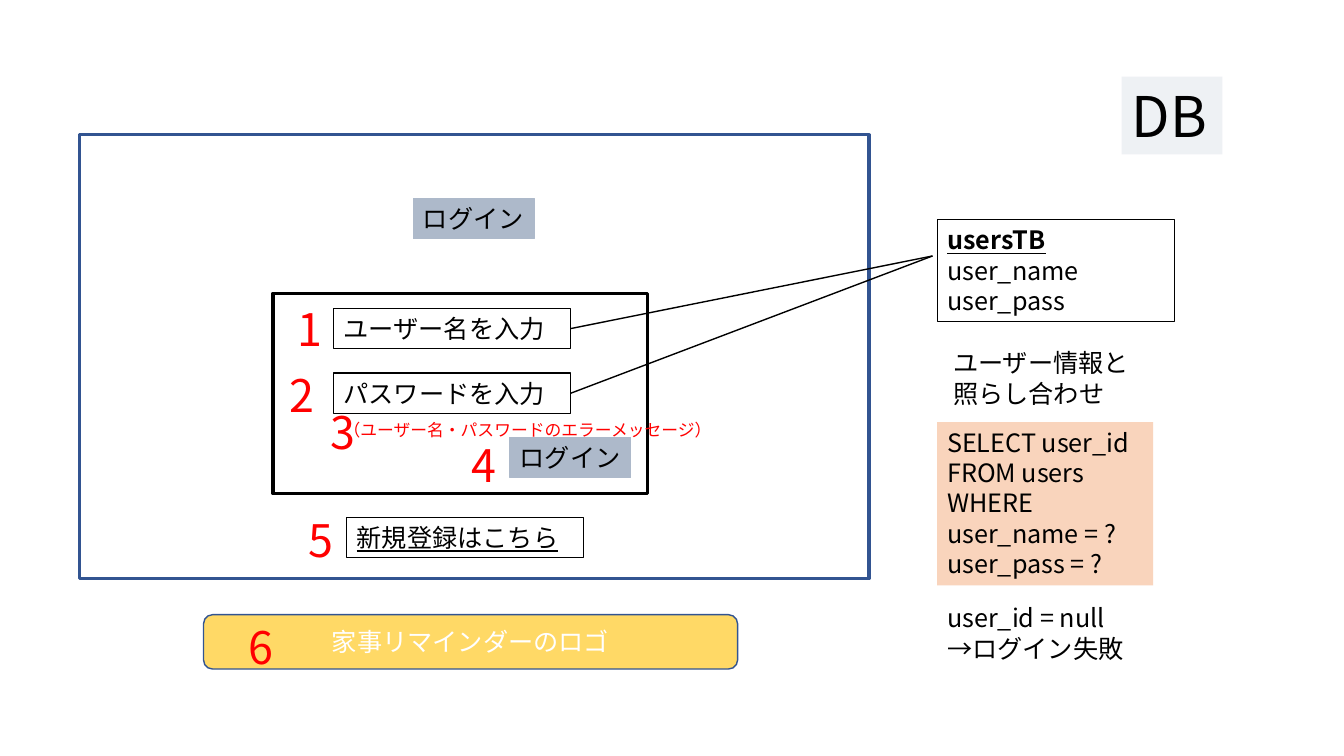
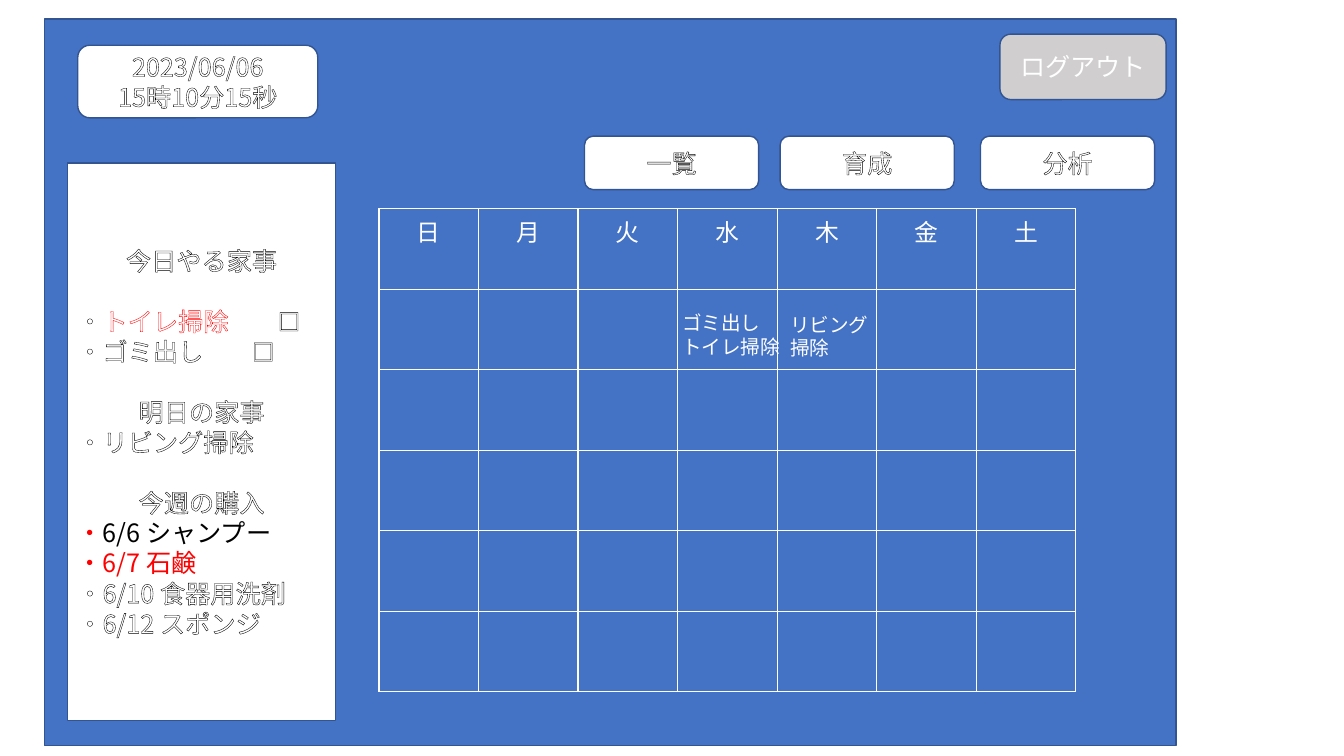
from lxml.etree import SubElement
from pptx import Presentation
from pptx.dml.color import RGBColor
from pptx.enum.shapes import MSO_CONNECTOR, MSO_SHAPE
from pptx.enum.text import MSO_ANCHOR, MSO_AUTO_SIZE, PP_ALIGN
from pptx.oxml.ns import qn
from pptx.util import Cm, Pt

FONT = "Noto Sans CJK JP"
BLACK = RGBColor(0x00, 0x00, 0x00)
WHITE = RGBColor(0xFF, 0xFF, 0xFF)
RED = RGBColor(0xFF, 0x00, 0x00)
ORANGE = RGBColor(0xED, 0x7D, 0x31)
BLUE = RGBColor(0x44, 0x72, 0xC4)
NAVY = RGBColor(0x32, 0x54, 0x91)
STEEL = RGBColor(0xAD, 0xB9, 0xCA)
PALE = RGBColor(0xD6, 0xDC, 0xE5)
PEACH = RGBColor(0xF8, 0xCB, 0xAD)
YELLOW = RGBColor(0xFF, 0xD9, 0x66)
GREY = RGBColor(0xD0, 0xCE, 0xCE)
RECT, ROUND = MSO_SHAPE.RECTANGLE, MSO_SHAPE.ROUNDED_RECTANGLE


def write(p, text, size=18, color=BLACK, bold=False, underline=False, outline=None):
    """Add one formatted run to a paragraph."""
    r = p.add_run()
    r.text = text
    f = r.font
    f.size, f.bold, f.underline, f.name = Pt(size), bold, underline, FONT
    f.color.rgb = color
    rPr = r._r.get_or_add_rPr()
    SubElement(rPr, qn("a:ea"), typeface=FONT)
    if outline is not None:
        ln = SubElement(rPr, qn("a:ln"), w=str(Pt(0.75)))
        SubElement(SubElement(ln, qn("a:solidFill")), qn("a:srgbClr"), val=str(outline))
        rPr.insert(0, ln)


def box(slide, at, lines=(), kind=RECT, fill=None, alpha=None, line=None, width=0.75,
        center=False, wrap=True, **fmt):
    """Add a shape, or a text box if kind is None, with one paragraph per line."""
    at = [Cm(v) for v in at]
    if kind is None:
        s = slide.shapes.add_textbox(*at)
    else:
        s = slide.shapes.add_shape(kind, *at)
        s.shadow.inherit = False
        if fill is None:
            s.fill.background()
        else:
            s.fill.solid()
            s.fill.fore_color.rgb = fill
        if alpha:
            clr = s._element.spPr.find(qn("a:solidFill"))[0]
            SubElement(clr, qn("a:alpha"), val=str(alpha * 1000))
        if line is None:
            s.line.fill.background()
        else:
            s.line.color.rgb = line
            s.line.width = Pt(width)
    tf = s.text_frame
    tf.word_wrap = wrap
    tf.vertical_anchor = MSO_ANCHOR.MIDDLE if center else MSO_ANCHOR.TOP
    if lines and not center:
        tf.auto_size = MSO_AUTO_SIZE.SHAPE_TO_FIT_TEXT
    for i, text in enumerate(lines):
        p = tf.add_paragraph() if i else tf.paragraphs[0]
        p.alignment = PP_ALIGN.CENTER if center else PP_ALIGN.LEFT
        write(p, text, **fmt)
    return s


prs = Presentation()
prs.slide_width, prs.slide_height = Cm(33.87), Cm(19.05)
blank = prs.slide_layouts[6]

# Slide 1: login screen
login = prs.slides.add_slide(blank)
box(login, (2.01, 3.4, 19.89, 11.18), line=NAVY, width=2.25)
box(login, (10.41, 5, 3.05, 1.02), ["ログイン"], fill=STEEL, line=STEEL)
box(login, (6.88, 7.39, 9.45, 5.05), line=BLACK, width=2.25)
fields = [box(login, (8.41, y, 5.97, 1.02), [text], line=BLACK)
          for y, text in [(7.77, "ユーザー名を入力"), (9.4, "パスワードを入力")]]
box(login, (12.85, 11.02, 3.05, 1.02), ["ログイン"], fill=STEEL, line=STEEL)
box(login, (8.74, 13.03, 5.97, 1.02), ["新規登録はこちら"], line=BLACK, underline=True)
box(login, (5.13, 15.49, 13.46, 1.37), ["家事リマインダーのロゴ"], kind=ROUND,
    fill=YELLOW, line=NAVY, width=1, center=True, color=WHITE)
box(login, (8.41, 10.46, 9.91, 0.76), ["（ユーザー名・パスワードのエラーメッセージ）"],
    kind=None, size=12, color=RED)

# Callout numbers
spots = [(7.26, 7.47), (7.04, 9.14), (8.08, 10.08), (11.63, 10.9), (7.52, 12.8), (6.02, 15.49)]
for n, (x, y) in enumerate(spots, 1):
    box(login, (x, y, 1.12, 1.63), [str(n)], kind=None, size=32, color=RED)

# Lines from the fields to the user table
for field in fields:
    c = login.shapes.add_connector(MSO_CONNECTOR.STRAIGHT, 0, 0, Cm(23.5), Cm(6.45))
    c.begin_connect(field, 3)
    c.line.color.rgb = BLACK
    c.line.width = Pt(1)
    SubElement(c._element.spPr, qn("a:effectLst"))

# Database column
box(login, (28.27, 1.93, 2.54, 1.96), ["DB"], fill=PALE, alpha=40, wrap=False, size=40)
users = box(login, (23.62, 5.54, 5.97, 2.57), ["usersTB", "user_name", "user_pass"], line=BLACK)
heading = users.text_frame.paragraphs[0].runs[0].font
heading.bold = heading.underline = True
box(login, (23.77, 8.64, 5.44, 1.8), ["ユーザー情報と照らし合わせ"], kind=None)
box(login, (23.62, 10.64, 5.44, 4.11),
    ["SELECT user_id", "FROM users", "WHERE user_name = ?", "user_pass = ?"],
    fill=PEACH, alpha=81)
box(login, (23.62, 15.06, 5.44, 1.8), ["user_id = null", "→ログイン失敗"], kind=None)

# Slide 2: calendar screen
home = prs.slides.add_slide(blank)
box(home, (1.12, 0.48, 28.52, 18.31), fill=BLUE, line=NAVY, width=1)

# Calendar
days = "日月火水木金土"
ROWS, COL_W, ROW_H = 6, 2.51, 2.03
table = home.shapes.add_table(ROWS, len(days), Cm(9.55), Cm(5.26),
                              Cm(COL_W * len(days)), Cm(ROW_H * ROWS)).table
table.first_row = table.horz_banding = False
for col in table.columns:
    col.width = Cm(COL_W)
for row in table.rows:
    row.height = Cm(ROW_H)
for cell in table.iter_cells():
    tcPr = cell._tc.get_or_add_tcPr()
    for side in ("a:lnL", "a:lnR", "a:lnT", "a:lnB"):
        ln = SubElement(tcPr, qn(side), w=str(Pt(1)))
        SubElement(SubElement(ln, qn("a:solidFill")), qn("a:srgbClr"), val=str(WHITE))
    cell.fill.background()
for i, day in enumerate(days):
    p = table.cell(0, i).text_frame.paragraphs[0]
    p.alignment = PP_ALIGN.CENTER
    write(p, day, size=17, color=WHITE)

# Buttons and clock
button = dict(kind=ROUND, line=NAVY, width=1, center=True, color=WHITE)
box(home, (25.2, 0.86, 4.19, 1.65), ["ログアウト"], fill=GREY, **button)
box(home, (1.96, 1.14, 6.05, 1.83), ["2023/06/06", "15時10分15秒"],
    fill=WHITE, outline=BLACK, **button)
for x, text in [(14.73, "一覧"), (19.66, "育成"), (24.71, "分析")]:
    box(home, (x, 3.43, 4.39, 1.35), [text], fill=WHITE, outline=BLACK, **button)

# Side list: (runs of text, colour and outline; centred; gap above; tab stop in cm)
hollow = (WHITE, BLACK)
red_dot = ("・", RED, BLACK)
items = [
    ([("今日やる家事", *hollow)], True, False, None),
    ([("・", *hollow), ("トイレ掃除", WHITE, RED), ("\t☐", *hollow)], False, True, 5.05),
    ([("・ゴミ出し\t☐", *hollow)], False, False, 4.4),
    ([("明日の家事", *hollow)], True, True, None),
    ([("・リビング掃除", *hollow)], False, False, None),
    ([("今週の購入", *hollow)], True, True, None),
    ([red_dot, ("6/6 シャンプー", BLACK, ORANGE)], False, False, None),
    ([red_dot, ("6/7 石鹸", RED, ORANGE)], False, False, None),
    ([("・6/10 食器用洗剤", *hollow)], False, False, None),
    ([("・6/12 スポンジ", *hollow)], False, False, None),
]
tf = box(home, (1.7, 4.11, 6.76, 14.05), fill=WHITE, line=NAVY, width=1, center=True).text_frame
for i, (runs, centered, gap, tab) in enumerate(items):
    p = tf.add_paragraph() if i else tf.paragraphs[0]
    p.alignment = PP_ALIGN.CENTER if centered else PP_ALIGN.LEFT
    if gap:
        p.space_before = Pt(21.6)
    if tab:
        tabs = SubElement(p._p.get_or_add_pPr(), qn("a:tabLst"))
        SubElement(tabs, qn("a:tab"), pos=str(Cm(tab)), algn="l")
    for text, color, outline in runs:
        write(p, text, color=color, outline=outline)

# Chores in the calendar
box(home, (16.94, 7.72, 3.12, 1.45), ["ゴミ出し", "トイレ掃除"], kind=None, size=14, color=WHITE)
box(home, (19.66, 7.75, 2.69, 1.45), ["リビング掃除"], kind=None, size=14, color=WHITE)

prs.save("out.pptx")
